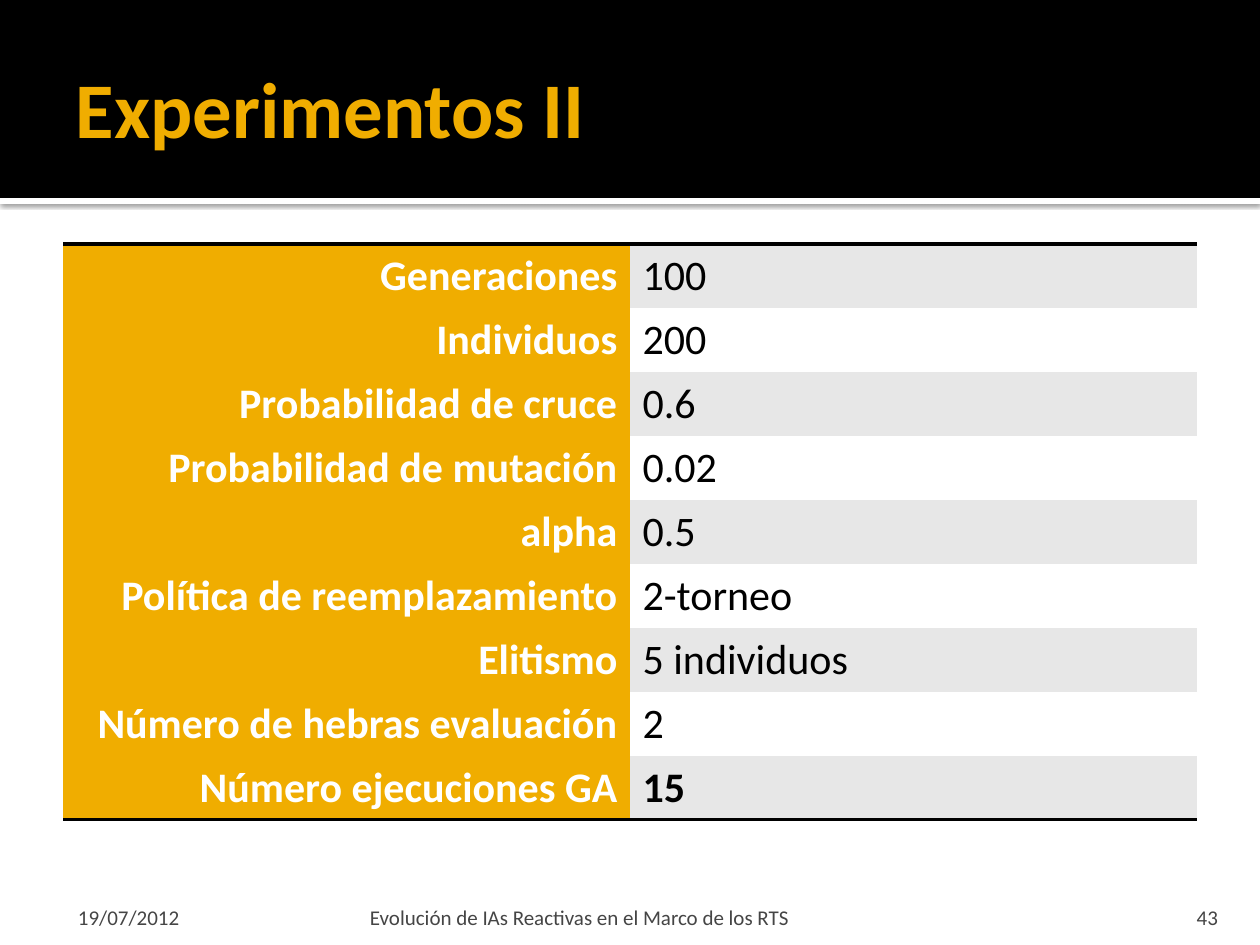
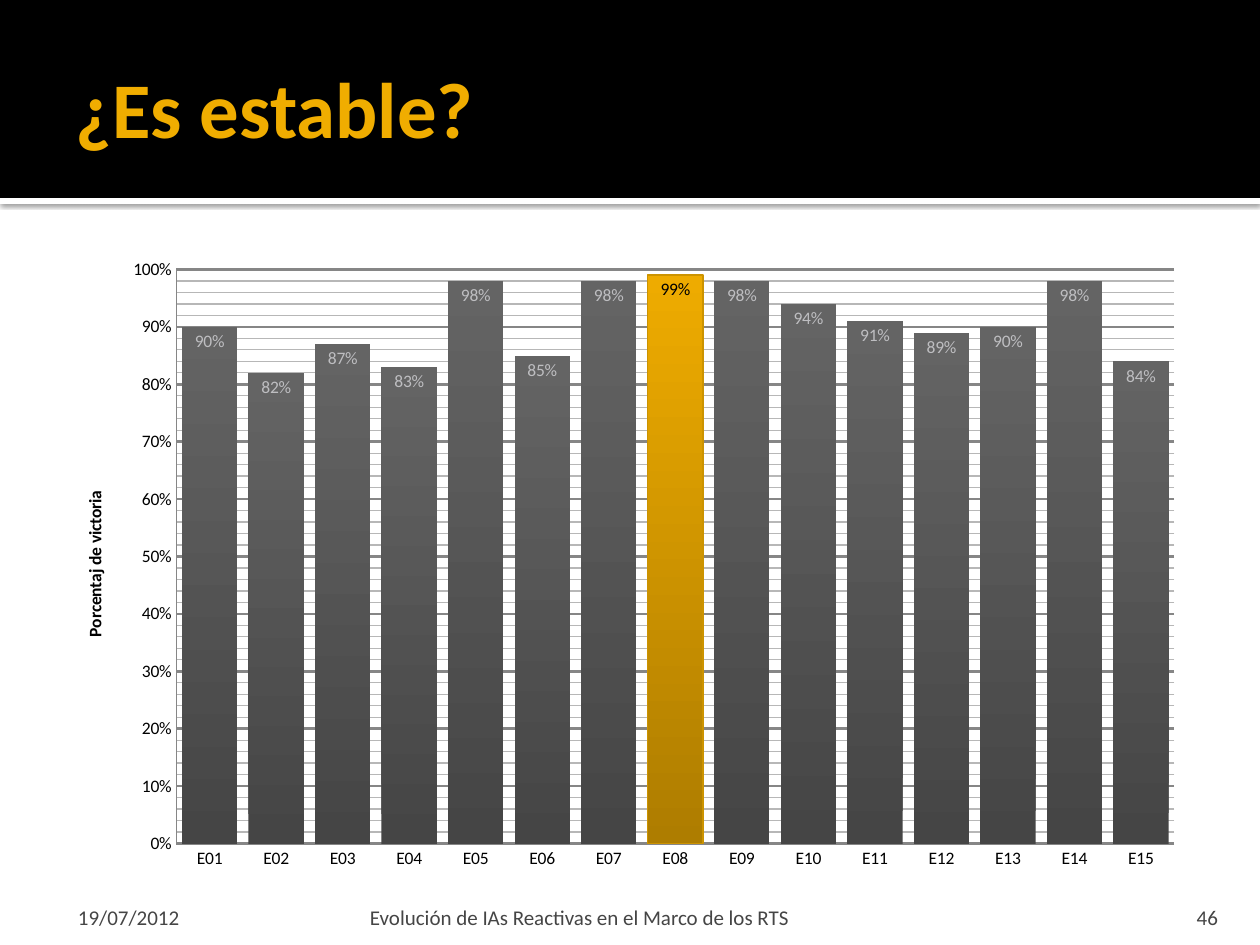
from lxml import etree
from pptx import Presentation
from pptx.chart.data import CategoryChartData
from pptx.dml.color import RGBColor
from pptx.enum.chart import XL_CHART_TYPE, XL_LABEL_POSITION, XL_TICK_MARK
from pptx.enum.shapes import MSO_SHAPE
from pptx.enum.text import MSO_ANCHOR, MSO_AUTO_SIZE, PP_ALIGN
from pptx.oxml import parse_xml
from pptx.oxml.ns import nsdecls, qn
from pptx.util import Pt

COLUMN = XL_CHART_TYPE.COLUMN_CLUSTERED
INSIDE = XL_LABEL_POSITION.INSIDE_END
NO_TICK = XL_TICK_MARK.NONE
RECT = MSO_SHAPE.RECTANGLE
MIDDLE, BOTTOM = MSO_ANCHOR.MIDDLE, MSO_ANCHOR.BOTTOM
FIXED = MSO_AUTO_SIZE.NONE
LEFT, RIGHT = PP_ALIGN.LEFT, PP_ALIGN.RIGHT

SCALE = 914400 / 126
FONT = "Calibri"
NO_GRID = "{2D5ABB26-0587-4C30-8999-92F81FD0307C}"
COLORS = {
    "black": "000000",
    "white": "FFFFFF",
    "gold": "F0AD00",
    "edge": "CC9300",
    "gold low": "AE7D00",
    "gold high": "EEAB00",
    "gray low": "454545",
    "gray high": "646464",
    "band": "E7E7E7",
    "foot": "454545",
    "label": "BEBEC1",
    "major": "868686",
    "minor": "B7B7B7",
}
DATE = "19/07/2012"
TALK = "Evolución de IAs Reactivas en el Marco de los RTS"
PARAMS = [
    ("Generaciones", "100"),
    ("Individuos", "200"),
    ("Probabilidad de cruce", "0.6"),
    ("Probabilidad de mutación", "0.02"),
    ("alpha", "0.5"),
    ("Política de reemplazamiento", "2-torneo"),
    ("Elitismo", "5 individuos"),
    ("Número de hebras evaluación", "2"),
    ("Número ejecuciones GA", "15"),
]
WINS = [0.9, 0.82, 0.87, 0.83, 0.98, 0.85, 0.98, 0.99,
        0.98, 0.94, 0.91, 0.89, 0.9, 0.98, 0.84]


def px(*nums):
    return [round(num * SCALE) for num in nums]


def rgb(name):
    return RGBColor.from_string(COLORS[name])


def style(font, size, color, bold=False):
    font.name, font.size, font.bold = FONT, Pt(size), bold
    font.color.rgb = rgb(color)


def write(frame, text, size, color, bold=False, align=LEFT):
    para = frame.paragraphs[0]
    para.text = text
    para.alignment = align
    style(para.font, size, color, bold)


def inset(frame, left, top, right, bottom):
    (frame.margin_left, frame.margin_top,
     frame.margin_right, frame.margin_bottom) = px(left, top, right, bottom)


def add_band(slide, top, height, color):
    band = slide.shapes.add_shape(RECT, *px(0, top, 1260, height))
    band.shadow.inherit = False
    band.fill.solid()
    band.fill.fore_color.rgb = rgb(color)
    band.line.fill.background()
    return band


def add_shade(shape):
    effects = shape.element.spPr.find(qn("a:effectLst"))
    effects.append(parse_xml(
        f'<a:outerShdw {nsdecls("a")} blurRad="31750" dist="10160" dir="5400000">'
        f'<a:srgbClr val="{COLORS["black"]}"><a:alpha val="60000"/></a:srgbClr>'
        '</a:outerShdw>'))


def add_foot(slide, left, width, text, pads, align=LEFT):
    frame = slide.shapes.add_textbox(*px(left, 892, width, 38)).text_frame
    frame.word_wrap = True
    frame.vertical_anchor = BOTTOM
    inset(frame, pads[0], 6, pads[1], 0)
    write(frame, text, 12, "foot", align=align)


def add_slide(deck, text, number):
    slide = deck.slides.add_slide(deck.slide_layouts[5])
    add_shade(add_band(slide, 198, 6, "white"))
    add_band(slide, 0, 198, "black")
    title = slide.shapes.title
    title.element.getparent().append(title.element)
    title.left, title.top, title.width, title.height = px(63, 21, 1134, 173)
    frame = title.text_frame
    frame.auto_size = FIXED
    frame.vertical_anchor = MIDDLE
    inset(frame, 13, 6, 6, 6)
    write(frame, text, 45, "gold", True)
    add_foot(slide, 63, 294, DATE, (15, 6))
    add_foot(slide, 364, 759, TALK, (6, 6))
    add_foot(slide, 1130, 101, number, (13, 13), RIGHT)
    return slide


def make_line(tag, color, width):
    line = etree.Element(qn(tag), w=str(Pt(width)))
    fill = etree.SubElement(line, qn("a:solidFill"))
    etree.SubElement(fill, qn("a:srgbClr"), val=COLORS[color])
    return line


def add_rule(cell, side):
    cell._tc.get_or_add_tcPr().insert(0, make_line(side, "black", 2))


def fill_cell(cell, text, back, color, bold, align):
    cell.fill.solid()
    cell.fill.fore_color.rgb = rgb(back)
    write(cell.text_frame, text, 24, color, bold, align)


def add_grid(slide, rows):
    last = len(rows) - 1
    shape = slide.shapes.add_table(
        len(rows), 2, *px(63, 244, 1134, 64 * len(rows)))
    shape.element.find(".//" + qn("a:tableStyleId")).text = NO_GRID
    table = shape.table
    table.first_row = table.horz_banding = False
    for row, (name, value) in enumerate(rows):
        back = "white" if row % 2 else "band"
        fill_cell(table.cell(row, 0), name, "gold", "white", True, RIGHT)
        fill_cell(table.cell(row, 1), value, back, "black", row == last, LEFT)
    for col in range(2):
        add_rule(table.cell(0, col), "a:lnT")
        add_rule(table.cell(last, col), "a:lnB")


def shade(fill, low, high):
    fill.gradient()
    fill.gradient_angle = 90
    for stop, color, place in zip(fill.gradient_stops, (low, high), (0, 1)):
        stop.color.rgb = rgb(color)
        stop.position = place


def draw_line(line, color, width):
    line.color.rgb = rgb(color)
    line.width = Pt(width)


def place_plot(chart, left, top, width, height):
    area = chart.element.find(".//" + qn("c:plotArea"))
    for old in area.findall(qn("c:layout")):
        area.remove(old)
    layout = etree.Element(qn("c:layout"))
    manual = etree.SubElement(layout, qn("c:manualLayout"))
    items = {"layoutTarget": "inner", "xMode": "edge", "yMode": "edge",
             "x": left, "y": top, "w": width, "h": height}
    for tag, val in items.items():
        etree.SubElement(manual, qn(f"c:{tag}"), val=str(val))
    area.insert(0, layout)


def set_axes(chart):
    for axis in (chart.category_axis, chart.value_axis):
        axis.major_tick_mark = axis.minor_tick_mark = NO_TICK
        draw_line(axis.format.line, "major", 1)
    axis = chart.value_axis
    axis.minimum_scale, axis.maximum_scale = 0, 1
    axis.major_unit, axis.minor_unit = 0.1, 0.02
    axis.has_major_gridlines = axis.has_minor_gridlines = True
    draw_line(axis.major_gridlines.format.line, "major", 1.5)
    minor = chart.element.find(".//" + qn("c:minorGridlines"))
    props = etree.SubElement(minor, qn("c:spPr"))
    props.append(make_line("a:ln", "minor", 0.75))
    axis.tick_labels.number_format = "0%"
    axis.tick_labels.number_format_is_linked = False
    write(axis.axis_title.text_frame, "Porcentaj de victoria", 10, "black", True)


def add_bars(slide, wins):
    data = CategoryChartData(number_format="0%")
    data.categories = [f"E{num:02}" for num in range(1, len(wins) + 1)]
    data.add_series("Series 1", wins)
    chart = slide.shapes.add_chart(COLUMN, *px(63, 244, 1134, 638), data).chart
    chart.has_legend = chart.has_title = False
    style(chart.font, 10, "black")
    place_plot(chart, 0.1, 0.04, 0.88, 0.9)
    set_axes(chart)
    plot = chart.plots[0]
    plot.gap_width = 20
    plot.vary_by_categories = False
    bars = plot.series[0]
    bars.invert_if_negative = False
    shade(bars.format.fill, "gray low", "gray high")
    labels = bars.data_labels
    labels.show_value = True
    labels.position = INSIDE
    labels.number_format = "0%"
    labels.number_format_is_linked = False
    style(labels.font, 10, "label")
    best = bars.points[wins.index(max(wins))]
    shade(best.format.fill, "gold low", "gold high")
    draw_line(best.format.line, "edge", 1)
    style(best.data_label.font, 10, "black")
    best.data_label.position = INSIDE


def main():
    deck = Presentation()
    deck.slide_width, deck.slide_height = px(1260, 945)
    add_grid(add_slide(deck, "Experimentos II", "43"), PARAMS)
    add_bars(add_slide(deck, "¿Es estable?", "46"), WINS)
    deck.save("out.pptx")


if __name__ == "__main__":
    main()
